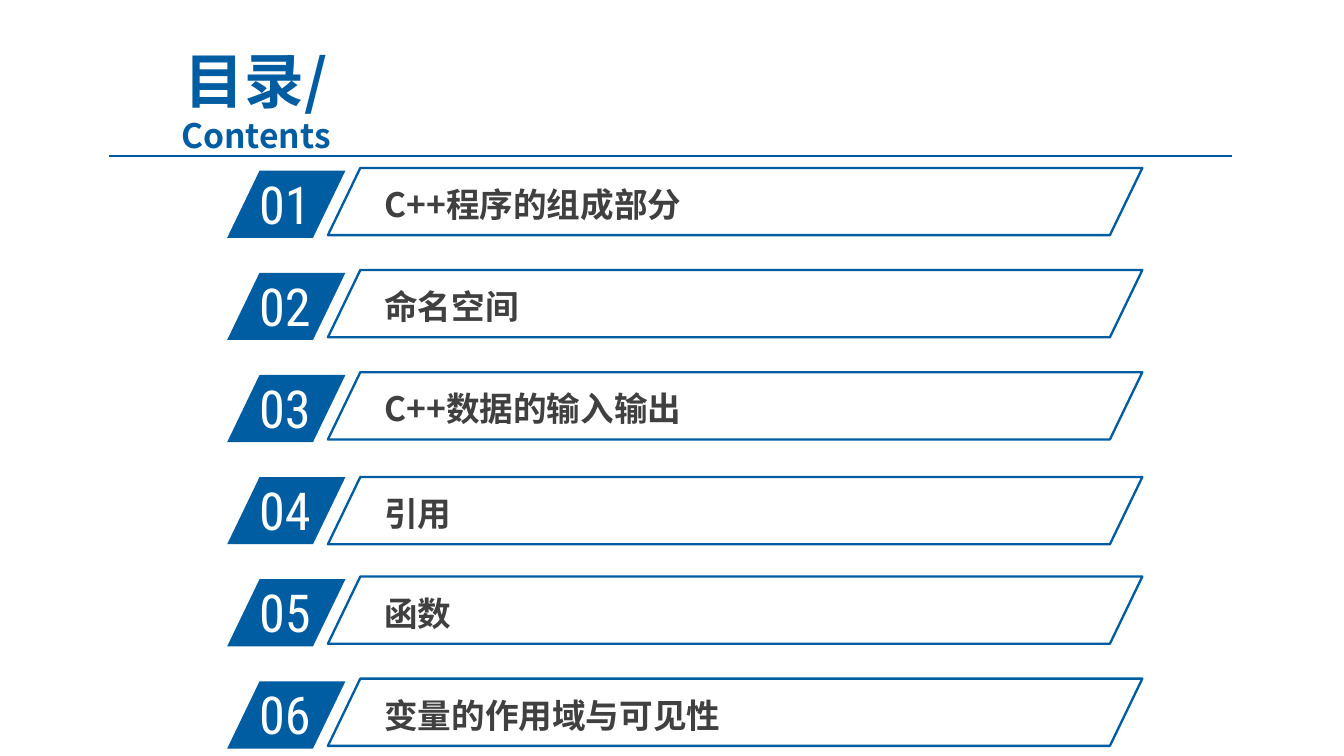
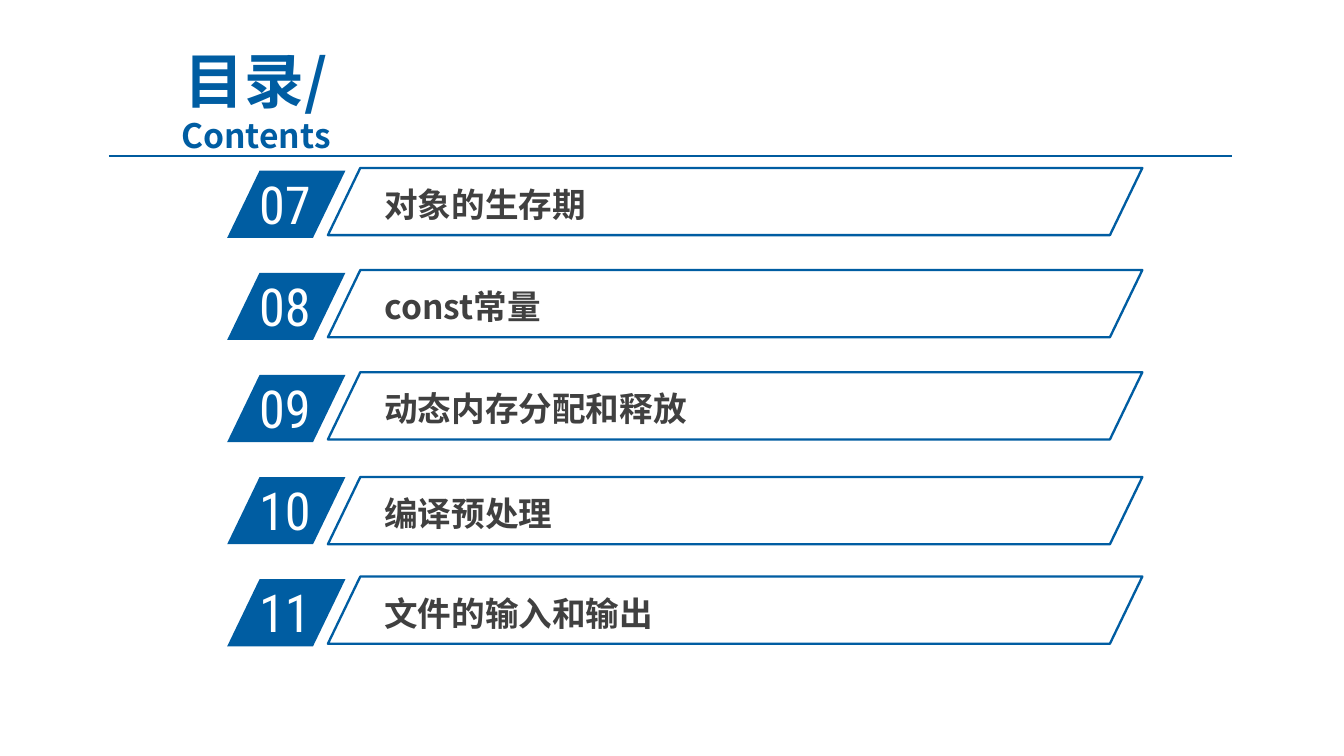
from dataclasses import dataclass

from pptx import Presentation
from pptx import util as u
from pptx.dml.color import RGBColor
from pptx.enum import shapes, text
from pptx.oxml.ns import qn
from lxml import etree


@dataclass(frozen=True)
class Theme:
    blue: RGBColor = RGBColor(0x00, 0x5D, 0xA2)
    rule: RGBColor = RGBColor(0x00, 0x5B, 0x9E)
    ink: RGBColor = RGBColor(0x40, 0x40, 0x40)
    white: RGBColor = RGBColor(0xFF, 0xFF, 0xFF)
    heading_face: str = "Noto Sans CJK SC"
    number_face: str = "Roboto Condensed"
    title_size: int = 32
    number_size: int = 28
    label_size: int = 18
    rule_width: float = 0.75
    bar_width: float = 1.25
    slant: float = 0.482


@dataclass(frozen=True)
class Box:
    """A place on the grid, in columns and rows."""
    left: float
    top: float
    width: float
    height: float

    def below(self, rows: float) -> "Box":
        return Box(self.left, self.top + rows, self.width, self.height)

    def emu(self) -> tuple:
        return tuple(map(cell, (self.left, self.top, self.width, self.height)))


@dataclass(frozen=True)
class Topic:
    number: int
    label: str


THEME = Theme()
WIDTH = u.Inches(10)
HEIGHT = WIDTH * 9 // 16
COLUMNS = 100  # square cells, so rows are as tall as columns are wide
TOPIC_PITCH = 7.6
BAR_NUDGES = {3: 0.2}  # the fourth bar sits slightly lower
HEADING = Box(6.7, 4.7, 24.7, 5.4)
RULE = Box(8.1, 11.6, 83.6, 0)
BADGE = Box(16.9, 12.7, 8.8, 5)
NUMBER = Box(18.3, 12.3, 8.4, 5.7)
BAR = Box(24.4, 12.5, 60.6, 5)
LABEL = Box(27.9, 13.3, 55.3, 3.8)

CONTENTS = [
    ["C++程序的组成部分", "命名空间", "C++数据的输入输出", "引用", "函数",
     "变量的作用域与可见性"],
    ["对象的生存期", "const常量", "动态内存分配和释放", "编译预处理", "文件的输入和输出"],
]


def cell(count: float) -> int:
    return round(count * WIDTH / COLUMNS)


def style(paragraph, face: str, size: int, color: RGBColor, bold: bool) -> None:
    font = paragraph.font
    font.name, font.size, font.bold = face, u.Pt(size), bold
    font.color.rgb = color
    defaults = paragraph._p.pPr.find(qn("a:defRPr"))
    etree.SubElement(defaults, qn("a:ea")).set("typeface", face)


def add_heading(slide) -> None:
    title = slide.shapes.title
    title.left, title.top, title.width, title.height = HEADING.emu()
    frame = title.text_frame
    frame.word_wrap = True
    frame.auto_size = text.MSO_AUTO_SIZE.NONE
    frame.vertical_anchor = text.MSO_ANCHOR.MIDDLE
    heading = frame.paragraphs[0]
    heading.alignment = text.PP_ALIGN.CENTER
    style(heading, THEME.heading_face, THEME.title_size, THEME.blue, True)
    heading.add_run().text = "目录/"
    heading.add_line_break()
    subtitle = heading.add_run()
    subtitle.text = "Contents"
    subtitle.font.size = u.Pt(THEME.label_size)

    left, top, width, _ = RULE.emu()
    rule = slide.shapes.add_connector(
        shapes.MSO_CONNECTOR.STRAIGHT, left, top, left + width, top)
    rule.line.color.rgb = THEME.rule
    rule.line.width = u.Pt(THEME.rule_width)
    etree.SubElement(rule._element.spPr, qn("a:effectLst"))


def add_parallelogram(group, box: Box, filled: bool) -> None:
    """Draw a solid blue badge, or an empty bar with a blue outline."""
    panel = group.shapes.add_shape(shapes.MSO_SHAPE.PARALLELOGRAM, *box.emu())
    panel.adjustments[0] = THEME.slant
    panel.shadow.inherit = False
    if filled:
        panel.fill.solid()
        panel.fill.fore_color.rgb = THEME.blue
        panel.line.fill.background()
    else:
        panel.fill.background()
        panel.line.color.rgb = THEME.blue
        panel.line.width = u.Pt(THEME.bar_width)


def add_words(group, box: Box, words: str, face: str, size: int,
              color: RGBColor, bold: bool = False):
    frame = group.shapes.add_textbox(*box.emu()).text_frame
    frame.word_wrap = True
    frame.auto_size = text.MSO_AUTO_SIZE.SHAPE_TO_FIT_TEXT
    frame.text = words
    style(frame.paragraphs[0], face, size, color, bold)
    return frame


def add_topic(slide, topic: Topic, row: int) -> None:
    drop = row * TOPIC_PITCH
    badge = slide.shapes.add_group_shape()
    add_parallelogram(badge, BADGE.below(drop), filled=True)
    add_words(badge, NUMBER.below(drop), f"{topic.number:02}",
              THEME.number_face, THEME.number_size, THEME.white)

    drop += BAR_NUDGES.get(row, 0)
    bar = slide.shapes.add_group_shape()
    label = add_words(bar, LABEL.below(drop), topic.label, THEME.heading_face,
                      THEME.label_size, THEME.ink, bold=True)
    label.margin_left = label.margin_right = u.Inches(0.07)
    label.margin_top = label.margin_bottom = u.Inches(0.04)
    add_parallelogram(bar, BAR.below(drop), filled=False)


def main() -> None:
    deck = Presentation()
    deck.slide_width, deck.slide_height = WIDTH, HEIGHT
    title_only = deck.slide_layouts[5]
    number = 1
    for labels in CONTENTS:
        slide = deck.slides.add_slide(title_only)
        add_heading(slide)
        for row, label in enumerate(labels):
            add_topic(slide, Topic(number, label), row)
            number += 1
    deck.save("out.pptx")


if __name__ == "__main__":
    main()
